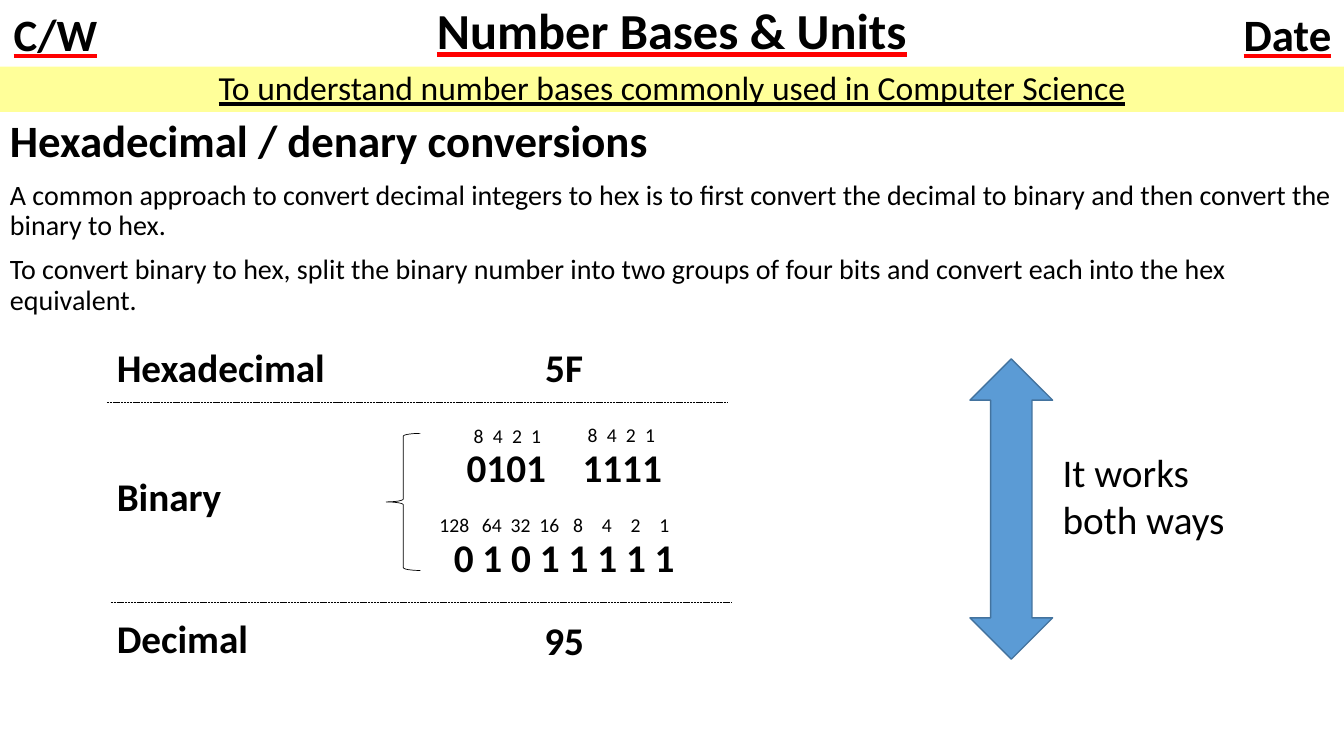
from lxml import etree
from pptx import Presentation
from pptx import util as u
from pptx.dml.color import RGBColor
from pptx.enum import dml, shapes, text
from pptx.oxml import ns

SHAPE = shapes.MSO_SHAPE
ALIGN = text.PP_ALIGN


def paint(color, value):
    color.rgb = RGBColor.from_string(value)


def tint(font, value):
    props = font._element
    line = etree.SubElement(props, ns.qn("a:uFill"))
    solid = etree.SubElement(line, ns.qn("a:solidFill"))
    etree.SubElement(solid, ns.qn("a:srgbClr"), val=value)
    latin = props.find(ns.qn("a:latin"))
    if latin is not None:
        latin.addprevious(line)


def stops(para, places, kind):
    tabs = etree.SubElement(para._p.get_or_add_pPr(), ns.qn("a:tabLst"))
    for place in places:
        etree.SubElement(tabs, ns.qn("a:tab"), pos=str(u.Inches(place)), algn=kind)


def write(para, words, size=28, bold=False, align=ALIGN.LEFT, under=False,
          red=False, lead=None, before=None, tabs=(), kind="l"):
    para.alignment = align
    if lead:
        para.line_spacing = lead
    if before:
        para.space_before = u.Pt(before)
    if tabs:
        stops(para, tabs, kind)
    run = para.add_run()
    run.text = words
    font = run.font
    font.name, font.size, font.bold, font.underline = "Calibri", u.Pt(size), bold, under
    paint(font.color, "000000")
    if red:
        tint(font, "FF0000")


def label(slide, x, y, w, h, words, fill=None, middle=False, **style):
    box = slide.shapes.add_textbox(u.Inches(x), u.Inches(y), u.Inches(w), u.Inches(h))
    if fill:
        box.fill.solid()
        paint(box.fill.fore_color, fill)
    frame = box.text_frame
    frame.word_wrap = True
    if middle:
        frame.vertical_anchor = text.MSO_ANCHOR.MIDDLE
    write(frame.paragraphs[0], words, **style)
    return frame


def figure(slide, kind, x, y, w, h, line, width, fill=None):
    item = slide.shapes.add_shape(kind, u.Inches(x), u.Inches(y), u.Inches(w), u.Inches(h))
    item.shadow.inherit = False
    if fill:
        item.fill.solid()
        paint(item.fill.fore_color, fill)
    else:
        item.fill.background()
    paint(item.line.color, line)
    item.line.width = u.Pt(width)


def rule(slide, x, y, w):
    line = slide.shapes.add_connector(
        shapes.MSO_CONNECTOR.STRAIGHT, u.Inches(x), u.Inches(y), u.Inches(x + w), u.Inches(y))
    paint(line.line.color, "000000")
    line.line.width = u.Pt(0.5)
    line.line.dash_style = dml.MSO_LINE.SQUARE_DOT
    etree.SubElement(line._element.spPr, ns.qn("a:effectLst"))


def header(slide):
    head = dict(bold=True, under=True, red=True, align=ALIGN.CENTER, middle=True)
    for x, words in ((0, "C/W"), (12.22, "Date")):
        label(slide, x, 0.01, 1.1, 0.65, words, fill="FFFFFF", size=32, **head)
    label(slide, 0, 0, 13.33, 0.66, "Number Bases & Units", size=36, lead=0.9, **head)
    label(slide, 0, 0.66, 13.33, 0.45,
          "To understand number bases commonly used in Computer Science",
          fill="FFFF99", size=24, under=True, align=ALIGN.CENTER, lead=0.9)


def body(slide):
    frame = label(slide, 0, 1.13, 13.32, 2.1, "Hexadecimal / denary conversions",
                  size=32, bold=True, lead=0.9)
    for words in (
        "A common approach to convert decimal integers to hex is to first convert "
        "the decimal to binary and then convert the binary to hex.",
        "To convert binary to hex, split the binary number into two groups of four "
        "bits and convert each into the hex equivalent.",
    ):
        write(frame.add_paragraph(), words, size=20, lead=0.9, before=10)


def bases(slide):
    for y, words in ((3.36, "Hexadecimal"), (4.64, "Binary"), (6.05, "Decimal")):
        label(slide, 1.06, y, 2.85, 0.57, words, bold=True)
    for y, words in ((3.36, "5F"), (5.24, "0 1 0 1 1 1 1 1"), (6.07, "95")):
        label(slide, 4.17, y, 2.85, 0.57, words, bold=True, align=ALIGN.CENTER)
    label(slide, 4.53, 4.35, 2.2, 0.57, "0101\t1111", bold=True, tabs=[1.15])

    nibble = [0.19 * i for i in range(1, 4)]
    for x, y in ((4.6, 4.16), (5.73, 4.15)):
        label(slide, x, y, 0.89, 0.34, "8\t4\t2\t1", size=14, tabs=nibble)
    byte = [0.52 + 0.285 * i for i in range(7)]
    label(slide, 4.26, 5.04, 2.69, 0.34, "128\t64\t32\t16\t8\t4\t2\t1",
          size=14, tabs=byte, kind="ctr")

    figure(slide, SHAPE.LEFT_BRACE, 3.83, 4.3, 0.34, 1.36, "000000", 0.5)
    for x, y in ((1.06, 3.99), (1.1, 5.98)):
        rule(slide, x, y, 6.16)


def main():
    deck = Presentation()
    deck.slide_width, deck.slide_height = u.Inches(13.33), u.Inches(7.5)
    slide = deck.slides.add_slide(deck.slide_layouts[6])
    header(slide)
    body(slide)
    bases(slide)
    figure(slide, SHAPE.UP_DOWN_ARROW, 9.62, 3.56, 0.82, 2.98, "43739E", 1, fill="5B9BD5")
    label(slide, 10.44, 4.4, 2.16, 1.04, "It works both ways")
    deck.save("out.pptx")


if __name__ == "__main__":
    main()
